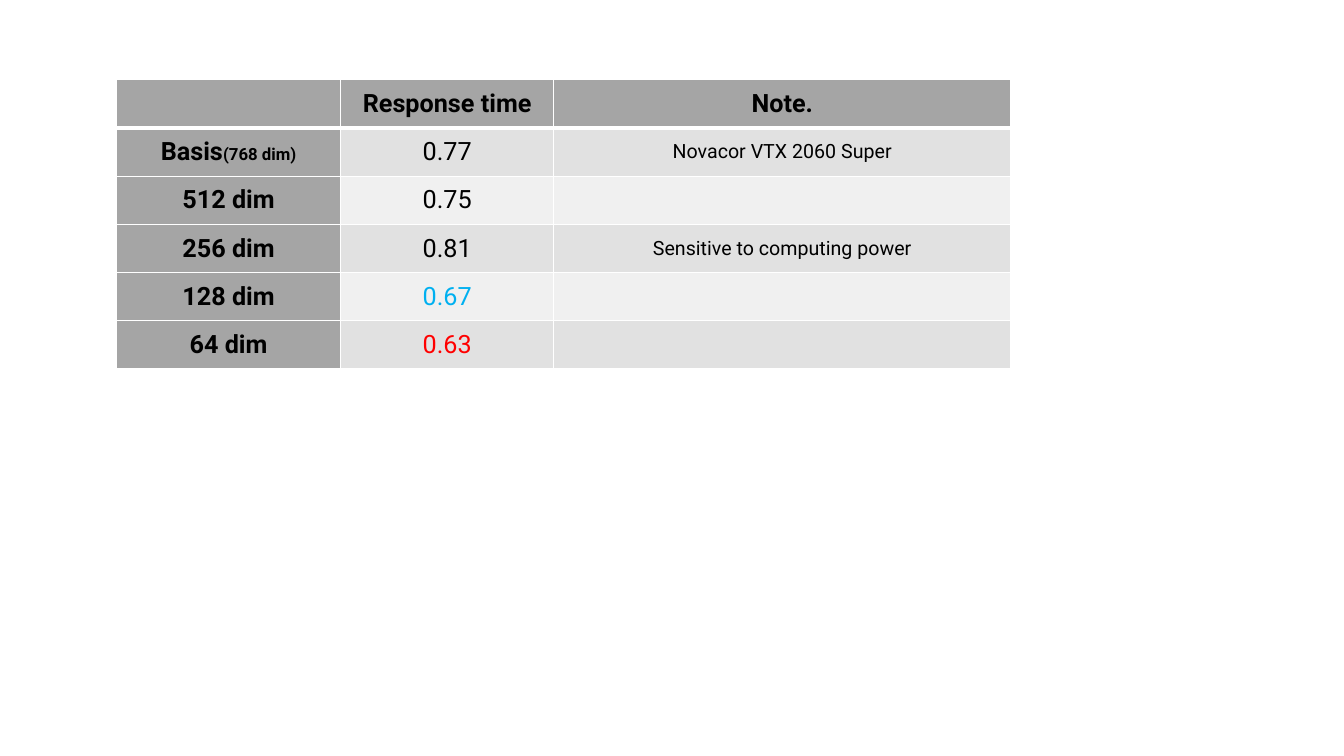
from dataclasses import dataclass

from lxml.etree import SubElement
from pptx import Presentation
from pptx.dml.color import RGBColor as Color
from pptx.enum.text import MSO_ANCHOR as Anchor, PP_ALIGN as Align
from pptx.oxml.ns import qn
from pptx.util import Cm, Pt

HEADINGS = ("", "Response time", "Note.")
RESULTS = [
    ("Basis", "(768 dim)", "0.77", "Novacor VTX 2060 Super"),
    ("512 dim", "", "0.75", ""),
    ("256 dim", "", "0.81", "Sensitive to computing power"),
    ("128 dim", "", "0.67", ""),
    ("64 dim", "", "0.63", ""),
]


@dataclass(frozen=True)
class Theme:
    font: str = "Roboto"
    text: str = "000000"
    best: str = "FF0000"
    second: str = "00B0F0"
    heading: str = "A5A5A5"
    bands: tuple = ("E1E1E1", "F0F0F0")
    border: str = "FFFFFF"
    body_size: int = 18
    note_size: int = 14
    detail_size: int = 12
    thin: int = 1
    thick: int = 3


THEME = Theme()
LEFT, TOP, HEIGHT = 2.93, 2.01, 7.29
COLUMN_WIDTHS = (5.66, 5.36, 11.53)


def add_border(cell, side, width):
    line = SubElement(cell._tc.get_or_add_tcPr(), qn(f"a:ln{side}"), w=str(Pt(width)))
    fill = SubElement(line, qn("a:solidFill"))
    SubElement(fill, qn("a:srgbClr"), val=THEME.border)


def style_cell(cell, fill, top, bottom):
    for side, width in (("L", THEME.thin), ("R", THEME.thin), ("T", top), ("B", bottom)):
        add_border(cell, side, width)
    cell.fill.solid()
    cell.fill.fore_color.rgb = Color.from_string(fill)
    cell.vertical_anchor = Anchor.MIDDLE


def write(cell, text, size=THEME.body_size, color=THEME.text, bold=False):
    para = cell.text_frame.paragraphs[0]
    para.alignment = Align.CENTER
    para.font.name = THEME.font
    para.font.size = Pt(size)
    para.font.bold = bold
    para.font.color.rgb = Color.from_string(color)
    if text:
        para.add_run().text = text
    return para


deck = Presentation()
deck.slide_width, deck.slide_height = Cm(33.87), Cm(19.05)
page = deck.slides.add_slide(deck.slide_layouts[6])

row_count = len(RESULTS) + 1
table = page.shapes.add_table(
    row_count, len(HEADINGS), Cm(LEFT), Cm(TOP), Cm(sum(COLUMN_WIDTHS)), Cm(HEIGHT)
).table
for column, width in zip(table.columns, COLUMN_WIDTHS):
    column.width = Cm(width)
for row in table.rows:
    row.height = Cm(HEIGHT / row_count)

for index, heading in enumerate(HEADINGS):
    cell = table.cell(0, index)
    style_cell(cell, THEME.heading, THEME.thin, THEME.thick)
    write(cell, heading, bold=True)

ranking = sorted(time for _, _, time, _ in RESULTS)
time_colors = {ranking[0]: THEME.best, ranking[1]: THEME.second}

for number, (name, detail, time, note) in enumerate(RESULTS):
    band = THEME.bands[number % 2]
    cells = [table.cell(number + 1, index) for index in range(len(HEADINGS))]
    for cell, fill in zip(cells, (THEME.heading, band, band)):
        style_cell(cell, fill, THEME.thin if number else THEME.thick, THEME.thin)
    name_cell, time_cell, note_cell = cells
    para = write(name_cell, name, bold=True)
    if detail:
        span = para.add_run()
        span.text = detail
        span.font.size = Pt(THEME.detail_size)
    write(time_cell, time, color=time_colors.get(time, THEME.text))
    write(note_cell, note, size=THEME.note_size)

deck.save("out.pptx")
